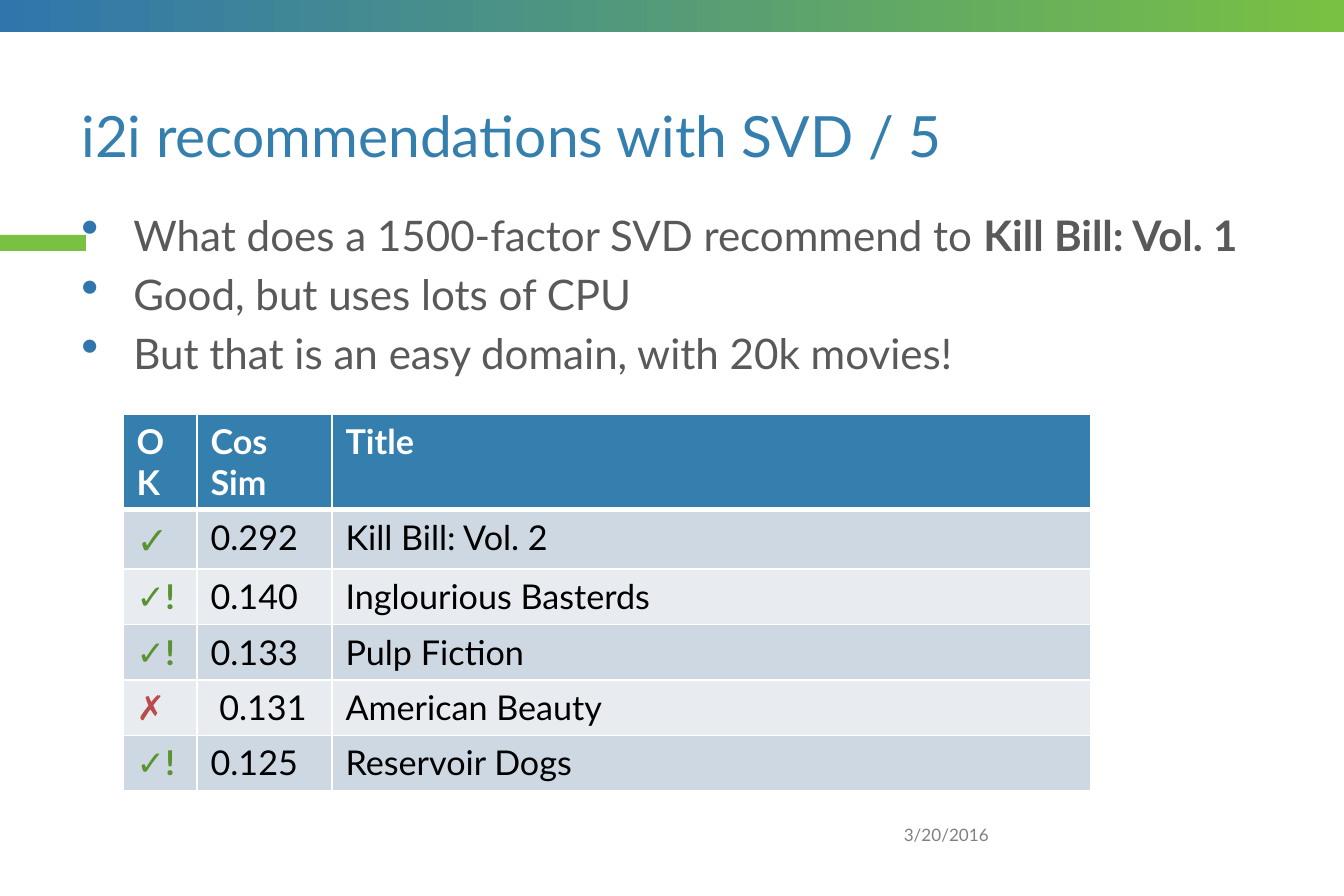
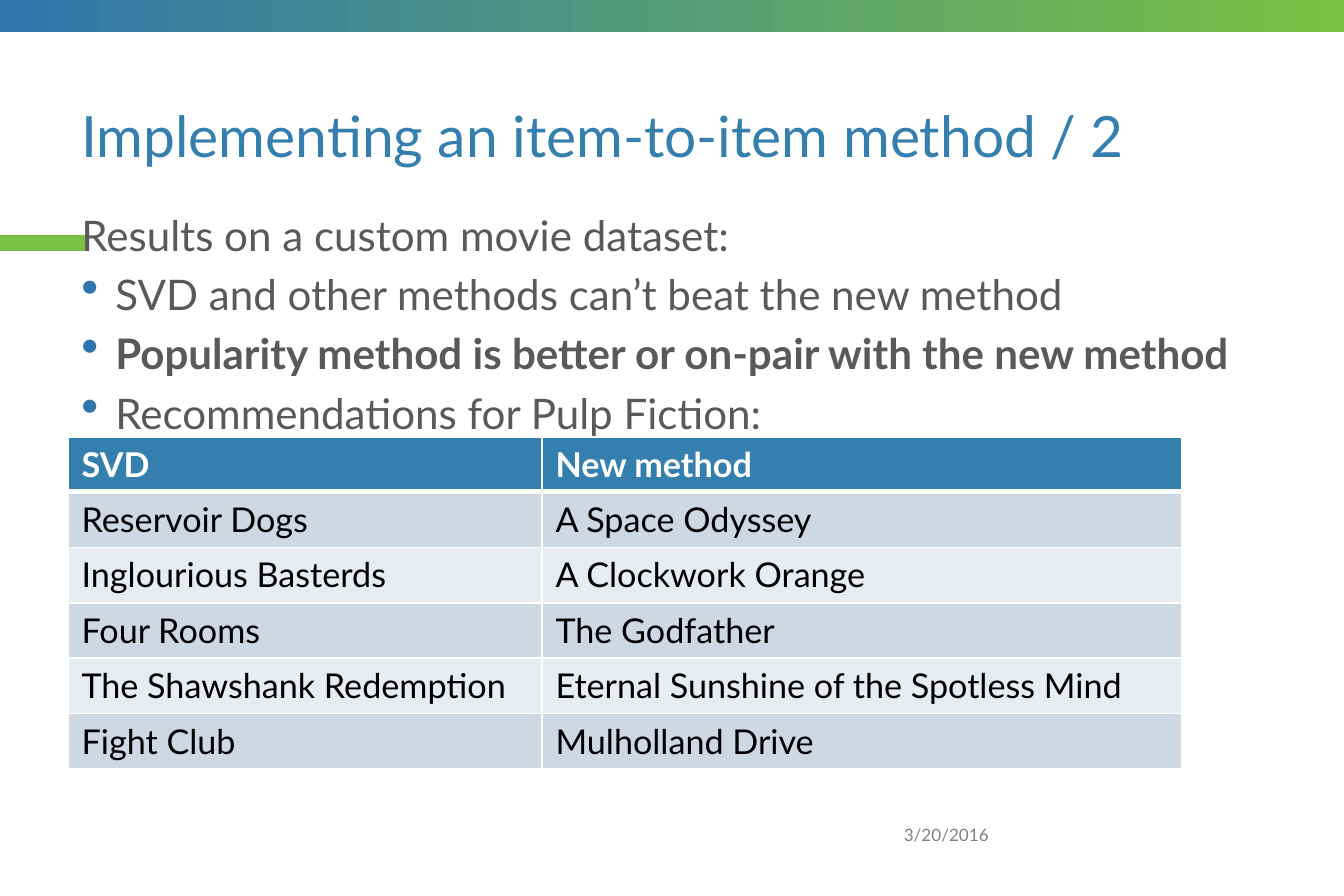
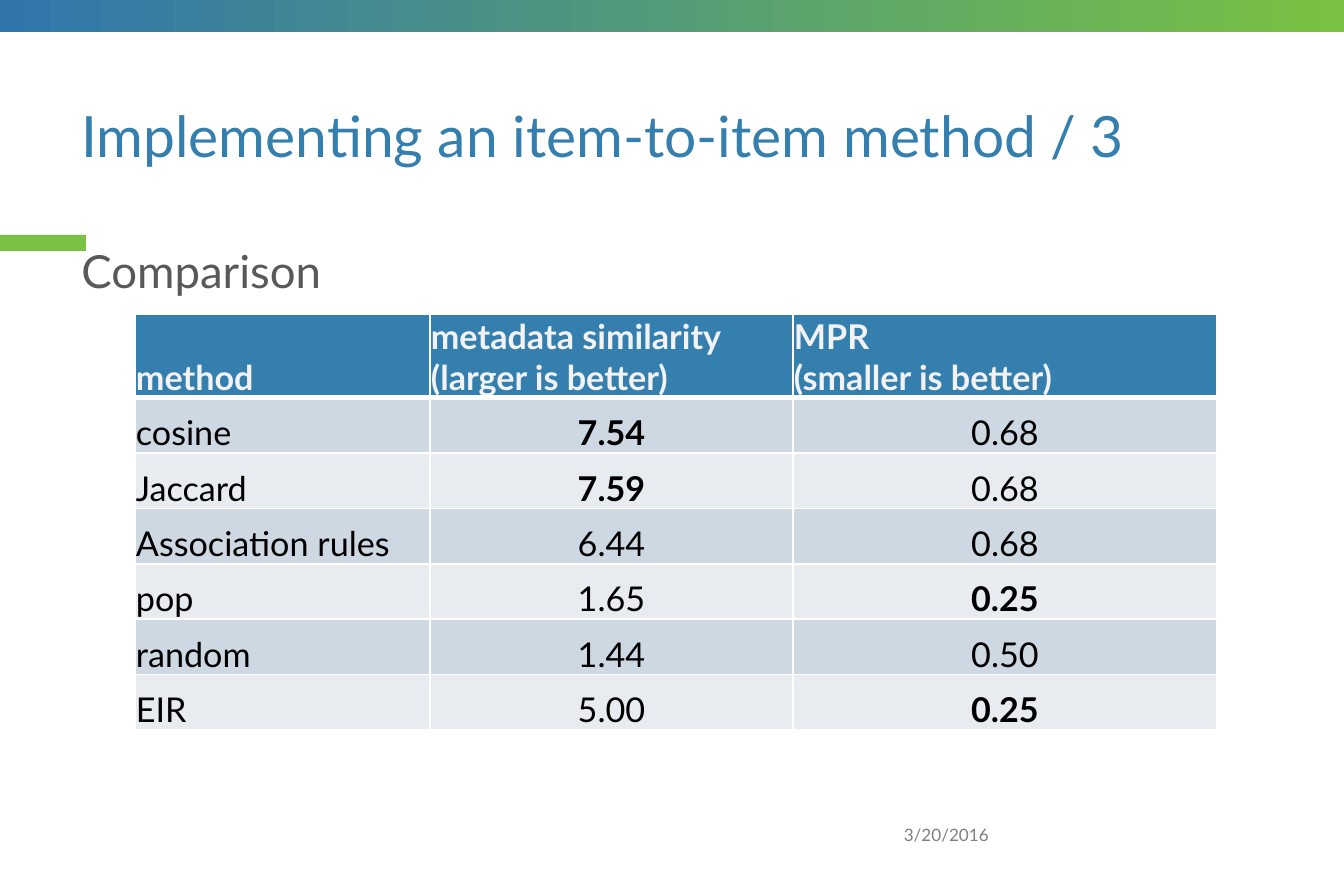
from lxml import etree
from pptx import Presentation
from pptx.dml.color import RGBColor
from pptx.enum.shapes import MSO_SHAPE
from pptx.enum.text import MSO_ANCHOR, PP_ALIGN
from pptx.oxml.ns import qn
from pptx.util import Pt

EMU_PER_PX = 6694
SLIDE_W, SLIDE_H = 1344, 896
FONT = "Lato"
RECT = MSO_SHAPE.RECTANGLE
TOP, MIDDLE, BOTTOM = MSO_ANCHOR.TOP, MSO_ANCHOR.MIDDLE, MSO_ANCHOR.BOTTOM
LEFT, CENTER, RIGHT = PP_ALIGN.LEFT, PP_ALIGN.CENTER, PP_ALIGN.RIGHT

BLUE = RGBColor(0x30, 0x76, 0xAD)
GREEN = RGBColor(0x79, 0xC1, 0x42)
TITLE_BLUE = RGBColor(0x34, 0x7F, 0xAD)
BODY_GREY = RGBColor(0x59, 0x59, 0x59)
DATE_GREY = RGBColor(0x80, 0x80, 0x80)
WHITE = RGBColor(0xFF, 0xFF, 0xFF)
OFF_WHITE = RGBColor(0xF2, 0xF2, 0xF2)
BLACK = RGBColor(0, 0, 0)
ROW_FILLS = RGBColor(0xCE, 0xD8, 0xE3), RGBColor(0xE8, 0xEC, 0xF1)
HIT_GREEN = RGBColor(0x5B, 0x92, 0x30)
MISS_RED = RGBColor(0xBA, 0x4A, 0x4C)

# Content: styled text is (text, changes to the default run style)
BOLD = {"bold": True}
HIT = {"bold": True, "color": HIT_GREEN}
BIG_HIT = {**HIT, "size": 20}
MISS = {"bold": True, "color": MISS_RED}

DATE = "3/20/2016"
DECK = [
    {
        "title": "i2i recommendations with SVD / 5",
        "body": {"top": 212, "size": 22.2, "spacing": 0.8, "indent": 52},
        "lead": [],
        "bullets": [
            ["What does a 1500-factor SVD recommend to ", ("Kill Bill: Vol. 1", BOLD)],
            ["Good, but uses lots of CPU"],
            ["But that is an easy domain, with 20k movies!"],
        ],
        "table": {"left": 123, "top": 414, "cols": [74, 135, 759],
                  "header_h": 96, "body_h": 277},
        "rows": [
            ["OK", "Cos\nSim", "Title"],
            [("✓", BIG_HIT), "0.292", "Kill Bill: Vol. 2"],
            [("✓!", HIT), "0.140", "Inglourious Basterds"],
            [("✓!", HIT), "0.133", "Pulp Fiction"],
            [("✗", MISS), " 0.131", "American Beauty"],
            [("✓!", HIT), "0.125", "Reservoir Dogs"],
        ],
    },
    {
        "title": "Implementing an item-to-item method / 2",
        "body": {"top": 212, "size": 22.2, "spacing": 0.8, "indent": 34},
        "lead": [["Results on a custom movie dataset:"]],
        "bullets": [
            ["SVD and other methods can’t beat the new method"],
            [("Popularity method is better or on-pair with the new method", BOLD)],
            ["Recommendations for Pulp Fiction:"],
        ],
        "table": {"left": 68, "top": 437, "cols": [474, 640],
                  "header_h": 55, "body_h": 277},
        "rows": [
            ["SVD", "New method"],
            ["Reservoir Dogs", "A Space Odyssey"],
            ["Inglourious Basterds", "A Clockwork Orange"],
            ["Four Rooms", "The Godfather"],
            ["The Shawshank Redemption", "Eternal Sunshine of the Spotless Mind"],
            ["Fight Club", "Mulholland Drive"],
        ],
    },
    {
        "title": "Implementing an item-to-item method / 3",
        "body": {"top": 236, "size": 24, "spacing": 1.0, "indent": 0},
        "lead": [["Comparison"]],
        "bullets": [],
        "table": {"left": 135, "top": 314, "cols": [295, 363, 424],
                  "header_h": 84, "body_h": 332, "header_color": OFF_WHITE,
                  "anchor": BOTTOM, "insets": (1, 1, 1, 0), "value_align": CENTER},
        "rows": [
            ["method", "metadata similarity (larger is better)", "MPR\n(smaller is better)"],
            ["cosine", ("7.54", BOLD), "0.68"],
            ["Jaccard", ("7.59", BOLD), "0.68"],
            ["Association rules", "6.44", "0.68"],
            ["pop", "1.65", ("0.25", BOLD)],
            ["random", "1.44", "0.50"],
            ["EIR", "5.00", ("0.25", BOLD)],
        ],
    },
]


def px(length):
    return round(length * EMU_PER_PX)


def box(*lengths):
    return [px(length) for length in lengths]


# Text
def add_text(paragraph, item, size, color, bold=False):
    text, changes = (item, {}) if isinstance(item, str) else item
    style = {"size": size, "color": color, "bold": bold, **changes}
    for number, line in enumerate(text.split("\n")):
        if number:
            paragraph.add_line_break()
        run = paragraph.add_run()
        run.text = line
        run.font.name = FONT
        run.font.size = Pt(style["size"])
        run.font.bold = style["bold"]
        run.font.color.rgb = style["color"]


def add_frame(slide, bounds, anchor):
    frame = slide.shapes.add_textbox(*box(*bounds)).text_frame
    frame.word_wrap = True
    frame.vertical_anchor = anchor
    return frame


def add_bullet(paragraph, indent):
    props = paragraph._p.get_or_add_pPr()
    props.set("marL", str(px(indent)))
    props.set("indent", str(-px(indent)))
    color = etree.SubElement(props, qn("a:buClr"))
    etree.SubElement(color, qn("a:srgbClr"), val=str(BLUE))
    etree.SubElement(props, qn("a:buSzPct"), val="120000")
    etree.SubElement(props, qn("a:buChar"), char="•")


def add_body(slide, content):
    body = content["body"]
    height = content["table"]["top"] - body["top"]
    frame = add_frame(slide, (68, body["top"], 1208, height), TOP)
    lines = content["lead"] + content["bullets"]
    for number, line in enumerate(lines):
        paragraph = frame.add_paragraph() if number else frame.paragraphs[0]
        if number >= len(content["lead"]):
            add_bullet(paragraph, body["indent"])
        paragraph.line_spacing = body["spacing"]
        if number:
            paragraph.space_before = Pt(10)
        for item in line:
            add_text(paragraph, item, body["size"], BODY_GREY)


# Shared bands, title and date
def add_band(slide, bounds):
    band = slide.shapes.add_shape(RECT, *box(*bounds))
    band.shadow.inherit = False
    band.line.fill.background()
    return band


def add_base(slide, title):
    accent = add_band(slide, (0, 235, 86, 16))
    accent.fill.solid()
    accent.fill.fore_color.rgb = GREEN

    top_band = add_band(slide, (0, 0, SLIDE_W, 32))
    top_band.fill.gradient()
    top_band.fill.gradient_angle = 0
    for stop, color in zip(top_band.fill.gradient_stops, (BLUE, GREEN)):
        stop.color.rgb = color

    heading = add_frame(slide, (68, 67, 1208, 145), MIDDLE).paragraphs[0]
    heading.line_spacing = 0.9
    add_text(heading, title, 30, TITLE_BLUE)

    date = add_frame(slide, (882, 811, 120, 48), MIDDLE).paragraphs[0]
    date.alignment = RIGHT
    add_text(date, DATE, 9, DATE_GREY)


# Tables
def add_borders(cell, top, bottom):
    props = cell._tc.get_or_add_tcPr()
    for side, width in (("L", 1), ("R", 1), ("T", top), ("B", bottom)):
        line = etree.SubElement(props, qn(f"a:ln{side}"), w=str(Pt(width)))
        fill = etree.SubElement(line, qn("a:solidFill"))
        etree.SubElement(fill, qn("a:srgbClr"), val=str(WHITE))


def add_results(slide, layout, rows):
    cols = layout["cols"]
    row_h = layout["body_h"] / (len(rows) - 1)
    bounds = box(layout["left"], layout["top"], sum(cols),
                 layout["header_h"] + layout["body_h"])
    table = slide.shapes.add_table(len(rows), len(cols), *bounds).table
    table.horz_banding = False
    for column, width in zip(table.columns, cols):
        column.width = px(width)
    for r, row in enumerate(rows):
        header = r == 0
        table.rows[r].height = px(layout["header_h"] if header else row_h)
        for c, item in enumerate(row):
            cell = table.cell(r, c)
            add_borders(cell, 3 if r == 1 else 1, 3 if header else 1)
            cell.fill.solid()
            cell.fill.fore_color.rgb = TITLE_BLUE if header else ROW_FILLS[(r - 1) % 2]
            cell.vertical_anchor = layout.get("anchor", TOP)
            if "insets" in layout:
                (cell.margin_left, cell.margin_top,
                 cell.margin_right, cell.margin_bottom) = box(*layout["insets"])
            paragraph = cell.text_frame.paragraphs[0]
            is_value = c > 0 and not header
            paragraph.alignment = layout.get("value_align", LEFT) if is_value else LEFT
            color = layout.get("header_color", WHITE) if header else BLACK
            add_text(paragraph, item, 18, color, header)


def main():
    deck = Presentation()
    deck.slide_width, deck.slide_height = box(SLIDE_W, SLIDE_H)
    blank = deck.slide_layouts[6]
    for content in DECK:
        slide = deck.slides.add_slide(blank)
        add_base(slide, content["title"])
        add_body(slide, content)
        add_results(slide, content["table"], content["rows"])
    deck.save("out.pptx")


if __name__ == "__main__":
    main()
